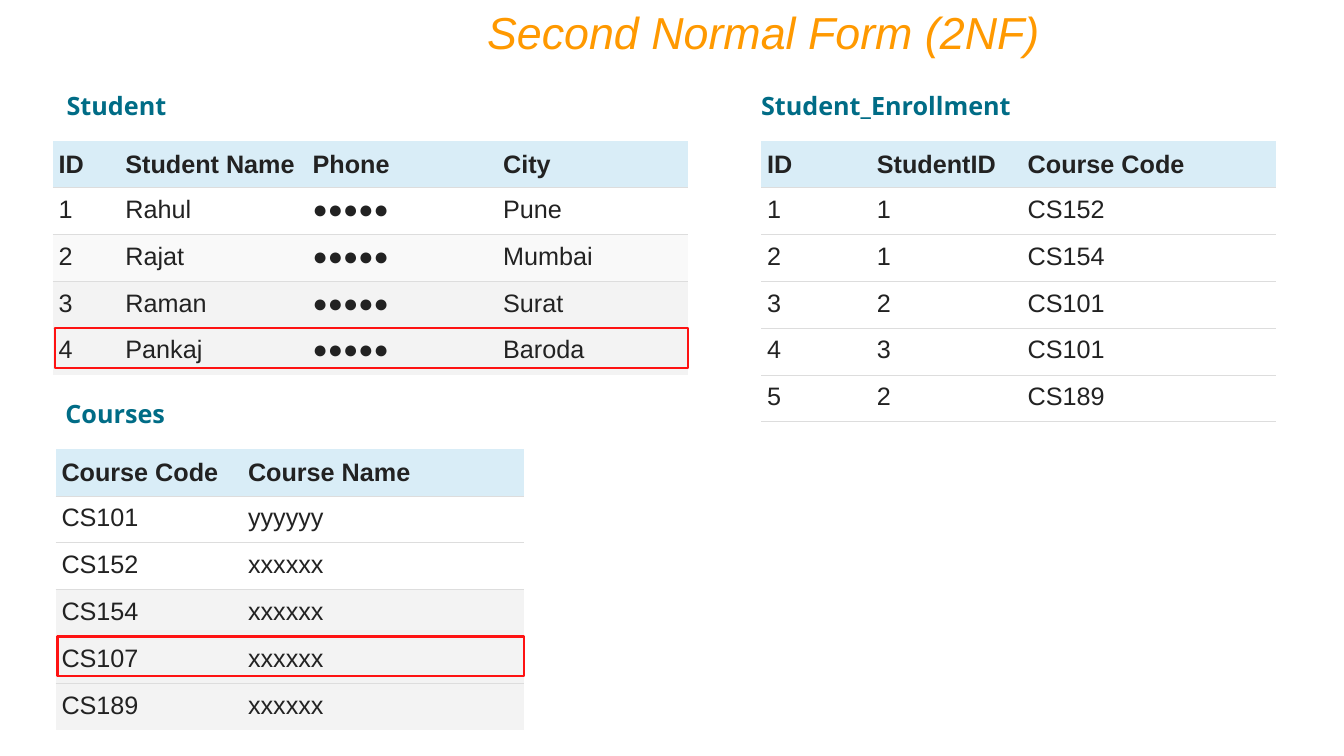
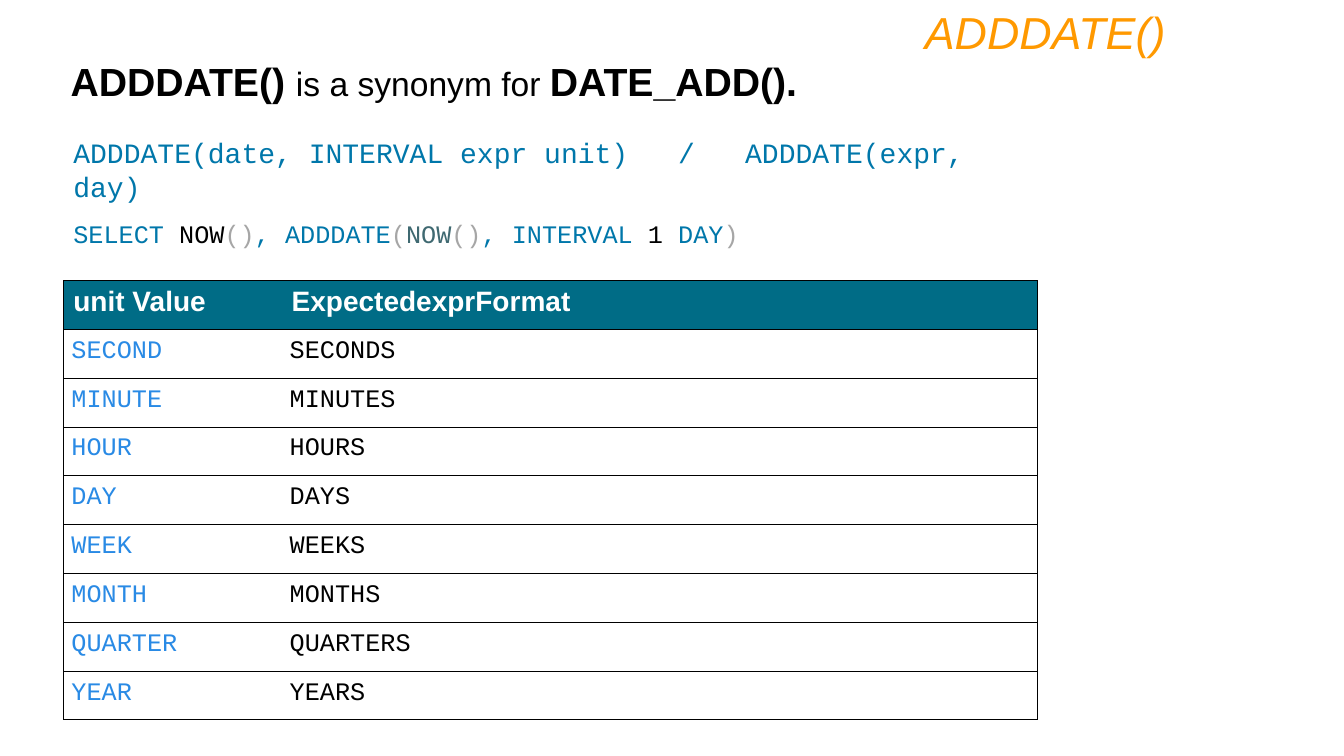
from lxml.etree import SubElement
from pptx import Presentation
from pptx.dml.color import RGBColor
from pptx.enum.shapes import MSO_SHAPE
from pptx.enum.text import MSO_ANCHOR, MSO_AUTO_SIZE, PP_ALIGN
from pptx.oxml.ns import qn
from pptx.util import Cm, Pt

# Shared colours and fonts
ORANGE = RGBColor(0xFF, 0x99, 0x00)
TEAL = RGBColor(0x00, 0x6C, 0x86)
INK = RGBColor(0x22, 0x22, 0x22)
BLACK = RGBColor(0x00, 0x00, 0x00)
WHITE = RGBColor(0xFF, 0xFF, 0xFF)
HEADER_BLUE = RGBColor(0xD9, 0xED, 0xF7)
PALE_GREY = RGBColor(0xF9, 0xF9, 0xF9)
LIGHT_GREY = RGBColor(0xF3, 0xF3, 0xF3)
RULE_GREY = RGBColor(0xDD, 0xDD, 0xDD)
RED = RGBColor(0xFE, 0x12, 0x12)
CODE_BLUE = RGBColor(0x00, 0x77, 0xAA)
CODE_GREY = RGBColor(0xA6, 0xA6, 0xA6)
CODE_SLATE = RGBColor(0x3F, 0x69, 0x71)
UNIT_BLUE = RGBColor(0x29, 0x8A, 0xE5)
SANS, MONO, CAPTION = "Arial", "Courier New", "Open Sans"

PHONE = "●●●●●"
UNITS = ("SECOND", "MINUTE", "HOUR", "DAY", "WEEK", "MONTH", "QUARTER", "YEAR")


def style_font(font, name, size, color, bold=False, italic=False):
    font.name, font.size = name, Pt(size)
    font.bold, font.italic = bold, italic
    font.color.rgb = color


def add_page(deck, title, left, width):
    """Title-only page with its right-aligned title in the given span."""
    page = deck.slides.add_slide(deck.slide_layouts[5])
    box = page.shapes.title
    box.left, box.top, box.width, box.height = Cm(left), Cm(0), Cm(width), Cm(1.62)
    frame = box.text_frame
    frame.text = title
    frame.auto_size = MSO_AUTO_SIZE.NONE
    frame.vertical_anchor = MSO_ANCHOR.TOP
    para = frame.paragraphs[0]
    para.alignment = PP_ALIGN.RIGHT
    style_font(para.runs[0].font, SANS, 32, ORANGE, italic=True)
    return page


def add_line(page, left, top, width, height, spans, font_name):
    """Text box with one paragraph; spans are (text, size, colour, bold)."""
    box = page.shapes.add_textbox(Cm(left), Cm(top), Cm(width), Cm(height))
    box.text_frame.word_wrap = True
    para = box.text_frame.paragraphs[0]
    for text, size, color, bold in spans:
        span = para.add_run()
        span.text = text
        style_font(span.font, font_name, size, color, bold)
    return para


def add_tab_stops(para, *positions):
    stops = SubElement(para._p.get_or_add_pPr(), qn("a:tabLst"))
    for position in positions:
        SubElement(stops, qn("a:tab"), pos=str(Cm(position)), algn="l")


def set_borders(cell, color, sides):
    """Draw the named sides (L, R, T, B) and clear the others."""
    properties = cell._tc.get_or_add_tcPr()
    for side in "LRTB":
        line = SubElement(properties, qn(f"a:ln{side}"), w=str(Pt(0.75)))
        if side in sides:
            fill = SubElement(line, qn("a:solidFill"))
            SubElement(fill, qn("a:srgbClr"), val=str(color))
        else:
            SubElement(line, qn("a:noFill"))


def add_grid(page, left, top, widths, row_height, rows):
    """Plain table filled with text, without banding."""
    table = page.shapes.add_table(
        len(rows), len(widths), Cm(left), Cm(top),
        Cm(sum(widths)), Cm(row_height * len(rows))).table
    table.first_row = table.horz_banding = False
    for column, width in zip(table.columns, widths):
        column.width = Cm(width)
    for row, texts in zip(table.rows, rows):
        row.height = Cm(row_height)
        for cell, text in zip(row.cells, texts):
            cell.text_frame.text = text
    return table


def finish_cell(cell, fill, margins, border, sides):
    cell.margin_left = cell.margin_right = Cm(margins[0])
    cell.margin_top = cell.margin_bottom = Cm(margins[1])
    set_borders(cell, border, sides)
    if fill is None:
        cell.fill.background()
    else:
        cell.fill.solid()
        cell.fill.fore_color.rgb = fill


def add_relation(page, left, top, name, name_shift, widths, rows, fills,
                 closing_rule=False, marked_row=None):
    """Captioned data table, with one row framed if asked."""
    row_height, table_top = 1.18, top + 1.4
    add_line(page, left + name_shift, top, 8.3, 1.02,
             [(name, 18, TEAL, True)], CAPTION)
    table = add_grid(page, left, table_top, widths, row_height, rows)
    last = len(rows) - 1
    for index, (row, fill) in enumerate(zip(table.rows, [HEADER_BLUE] + fills)):
        sides = ("T" if index else "") + ("B" if index < last or closing_rule else "")
        for cell in row.cells:
            finish_cell(cell, fill, (0.15, 0.2), RULE_GREY, sides)
            if index == 0:
                cell.vertical_anchor = MSO_ANCHOR.MIDDLE
            font = cell.text_frame.paragraphs[0].runs[0].font
            style_font(font, SANS, 18, INK, bold=index == 0)
    if marked_row is not None:
        frame = page.shapes.add_shape(
            MSO_SHAPE.RECTANGLE, Cm(left + 0.05), Cm(table_top + marked_row * row_height),
            Cm(sum(widths) - 0.05), Cm(1))
        frame.shadow.inherit = False
        frame.fill.background()
        frame.line.color.rgb, frame.line.width = RED, Pt(1.5)


def add_unit_table(page, left, top):
    """Interval units and the expression format each expects."""
    rows = [("unit Value", "ExpectedexprFormat")]
    rows += [(unit, unit + "S") for unit in UNITS]
    table = add_grid(page, left, top, (5.5, 19.05), 1.23, rows)
    for index, row in enumerate(table.rows):
        for cell, side, color in zip(row.cells, "LR", (UNIT_BLUE, BLACK)):
            font = cell.text_frame.paragraphs[0].runs[0].font
            if index == 0:
                finish_cell(cell, TEAL, (0.25, 0.13), BLACK, side + "TB")
                style_font(font, SANS, 20, WHITE, bold=True)
            else:
                finish_cell(cell, None, (0.2, 0.2), BLACK, side + "TB")
                style_font(font, MONO, 18, color)


def build_normal_form(deck):
    page = add_page(deck, "Second Normal Form (2NF)", 7.42, 19.05)
    students = [("ID", "Student Name", "Phone", "City"),
                ("1", "Rahul", PHONE, "Pune"),
                ("2", "Rajat", PHONE, "Mumbai"),
                ("3", "Raman", PHONE, "Surat"),
                ("4", "Pankaj", PHONE, "Baroda")]
    add_relation(page, 1.33, 2.15, "Student", 0.1, (1.68, 4.72, 4.8, 4.8), students,
                 [WHITE, PALE_GREY, LIGHT_GREY, LIGHT_GREY], marked_row=4)
    courses = [("Course Code", "Course Name"),
               ("CS101", "yyyyyy"), ("CS152", "xxxxxx"), ("CS154", "xxxxxx"),
               ("CS107", "xxxxxx"), ("CS189", "xxxxxx")]
    add_relation(page, 1.4, 9.92, "Courses", 0, (4.7, 7.1), courses,
                 [WHITE] * 2 + [LIGHT_GREY] * 3, marked_row=4)
    enrollments = [("ID", "StudentID", "Course Code"),
                   ("1", "1", "CS152"), ("2", "1", "CS154"), ("3", "2", "CS101"),
                   ("4", "3", "CS101"), ("5", "2", "CS189")]
    add_relation(page, 19.18, 2.15, "Student_Enrollment", -0.25, (2.77, 3.8, 6.4),
                 enrollments, [WHITE] * 2 + [None] * 3, closing_rule=True)


def build_adddate(deck):
    page = add_page(deck, "ADDDATE()", 4.23, 25.4)
    # Definition
    add_line(page, 1.53, 1.33, 24.2, 1.45,
             [("ADDDATE() ", 28, BLACK, True),
              ("is a synonym for ", 24, BLACK, False),
              ("DATE_ADD().", 28, BLACK, True)], SANS)
    # Syntax, with the two forms set apart by tabs
    syntax = "ADDDATE(date, INTERVAL expr unit)\t/\tADDDATE(expr, day)"
    para = add_line(page, 1.6, 3.3, 24.1, 1.12, [(syntax, 20, CODE_BLUE, False)], MONO)
    add_tab_stops(para, 15.24, 16.93)
    # Example query
    query = [("SELECT ", CODE_BLUE), ("NOW", BLACK), ("()", CODE_GREY),
             (", ADDDATE", CODE_BLUE), ("(", CODE_GREY), ("NOW", CODE_SLATE),
             ("()", CODE_GREY), (", INTERVAL ", CODE_BLUE), ("1 ", BLACK),
             ("DAY", CODE_BLUE), (")", CODE_GREY)]
    add_line(page, 1.6, 5.38, 24.2, 1.02,
             [(text, 18, color, False) for text, color in query], MONO)
    add_unit_table(page, 1.6, 7.07)


def main():
    deck = Presentation()
    deck.slide_width, deck.slide_height = Cm(33.87), Cm(19.05)
    build_normal_form(deck)
    build_adddate(deck)
    deck.save("out.pptx")


if __name__ == "__main__":
    main()
